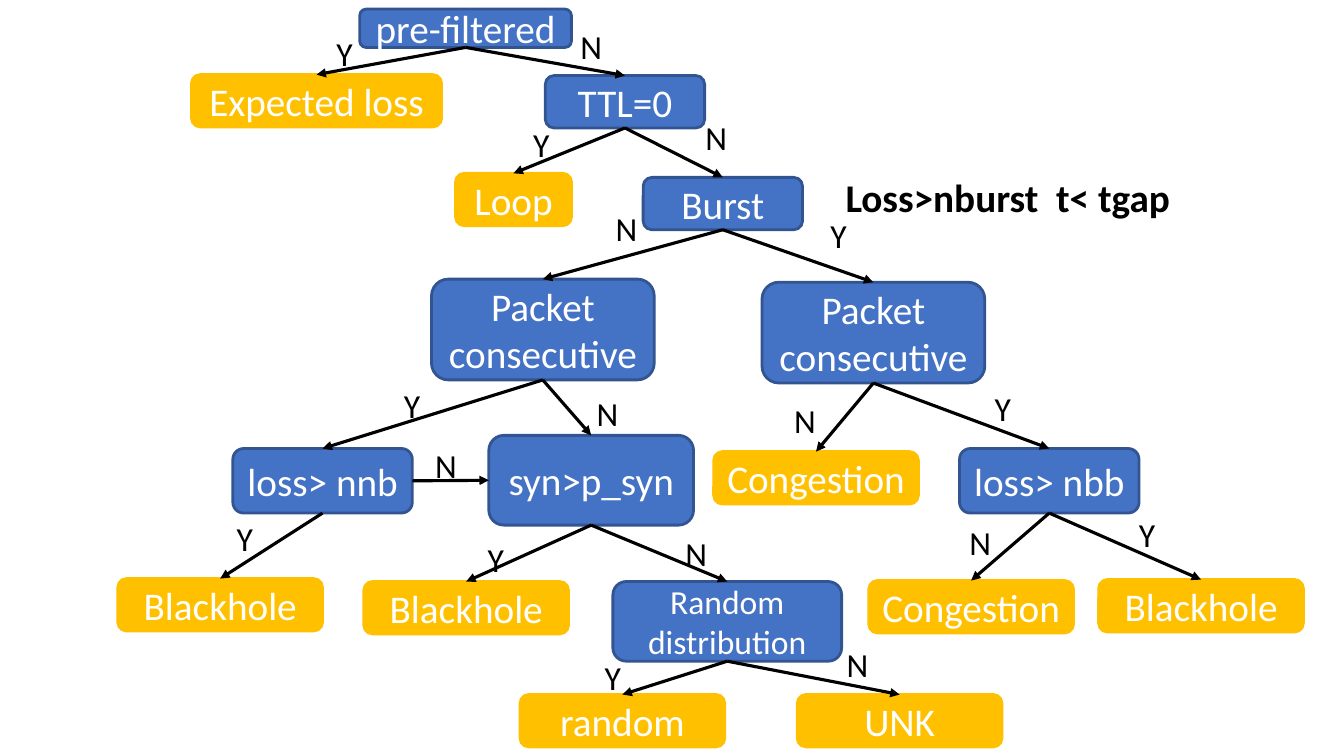
from pptx import Presentation
from pptx.dml.color import RGBColor
from pptx.enum.shapes import MSO_CONNECTOR, MSO_SHAPE
from pptx.enum.text import MSO_ANCHOR, MSO_AUTO_SIZE, PP_ALIGN
from pptx.oxml.ns import qn
from pptx.util import Pt
from lxml import etree

ROUND = MSO_SHAPE.ROUNDED_RECTANGLE
LINE = MSO_CONNECTOR.STRAIGHT
MIDDLE = MSO_ANCHOR.MIDDLE
FIT = MSO_AUTO_SIZE.SHAPE_TO_FIT_TEXT
CENTER, LEFT = PP_ALIGN.CENTER, PP_ALIGN.LEFT
BLUE = RGBColor(0x44, 0x72, 0xC4)
NAVY = RGBColor(0x32, 0x54, 0x91)
GOLD = RGBColor(0xFF, 0xC0, 0x00)
WHITE = RGBColor(0xFF, 0xFF, 0xFF)
BLACK = RGBColor(0x00, 0x00, 0x00)
TOP, WEST, BASE, EAST = range(4)
WIDE, LOW = 146.2, 37.4

TESTS = {
    "pre": ("pre-filtered", 257, 6.5, 151.2, 27.4),
    "ttl": ("TTL=0", 389.5, 54, 113.8, LOW),
    "burst": ("Burst", 459.4, 126.7, 113.8, LOW),
    "pack1": ("Packet\nconsecutive", 308.2, 199.4, 159.1, 72),
    "pack2": ("Packet\nconsecutive", 544.3, 201.6, 159.1, 72),
    "nnb": ("loss> nnb", 166.3, 320.4, 128.2, 46.1),
    "syn": ("syn>p_syn", 349.2, 311, WIDE, 64.1),
    "nbb": ("loss> nbb", 685.4, 320.4, 128.2, 46.1),
    "dist": ("Random distribution", 437.8, 415.4, 163.4, 56.9),
}
ENDS = {
    "expect": ("Expected loss", 136.8, 53.3, 178.6),
    "loop": ("Loop", 325.4, 123.8, 82.8),
    "cong1": ("Congestion", 509.8, 322.6, WIDE),
    "hole1": ("Blackhole", 84.2, 413.3, WIDE),
    "hole2": ("Blackhole", 259.9, 415.4, WIDE),
    "cong2": ("Congestion", 620.6, 414.7, WIDE),
    "hole3": ("Blackhole", 784.8, 414, WIDE),
    "random": ("random", 371.5, 496.1, WIDE),
    "unk": ("UNK", 569.5, 496.1, WIDE),
}
EDGES = [
    ("pre", "expect", "Y", 233.3, 20.2),
    ("pre", "ttl", "N", 407.5, 15.1),
    ("ttl", "loop", "Y", 373.7, 85),
    ("ttl", "burst", "N", 496.8, 79.9),
    ("burst", "pack1", "N", 432.7, 144.7),
    ("burst", "pack2", "Y", 586.1, 149.8),
    ("pack1", "nnb", "Y", 281.5, 271.4),
    ("pack1", "syn", "N", 419, 277.2),
    ("pack2", "cong1", "N", 560.2, 282.2),
    ("pack2", "nbb", "Y", 703.4, 273.6),
    ("nnb", "hole1", "Y", 162, 366.5),
    ("nnb", "syn", "N", 303.8, 314.6),
    ("syn", "hole2", "Y", 341.3, 381.6),
    ("syn", "dist", "N", 482.4, 377.3),
    ("nbb", "cong2", "N", 685.4, 369.4),
    ("nbb", "hole3", "Y", 806.4, 363.6),
    ("dist", "random", "Y", 424.8, 465.8),
    ("dist", "unk", "N", 597.6, 456.5),
]


class Tree:
    """Draws the boxes, arrows and labels of a decision tree on one slide."""

    def __init__(self, slide):
        self.slide = slide
        self.face = "Calibri"

    def letter(self, frame, text, size, color, align, bold=False):
        frame.text = text
        form = {"name": self.face, "size": Pt(size), "bold": bold}
        for para in frame.paragraphs:
            para.alignment = align
            for key, value in form.items():
                setattr(para.font, key, value)
            para.font.color.rgb = color

    def box(self, text, x, y, w, h, fill, edge, size=28):
        box = self.slide.shapes.add_shape(ROUND, Pt(x), Pt(y), Pt(w), Pt(h))
        box.shadow.inherit = False
        box.fill.solid()
        box.fill.fore_color.rgb = fill
        box.line.color.rgb = edge
        box.line.width = Pt(2)
        box.text_frame.word_wrap = True
        box.text_frame.vertical_anchor = MIDDLE
        self.letter(box.text_frame, text, size, WHITE, CENTER)
        return box

    def arrow(self, start, out, end, into):
        link = self.slide.shapes.add_connector(LINE, 0, 0, 0, 0)
        link.begin_connect(start, out)
        link.end_connect(end, into)
        link.line.color.rgb = BLACK
        link.line.width = Pt(2.25)
        props = link._element.spPr
        etree.SubElement(props.find(qn("a:ln")), qn("a:tailEnd"), type="triangle")
        etree.SubElement(props, qn("a:effectLst"))

    def label(self, text, x, y, w, h=36, size=24, bold=False, wrap=False):
        note = self.slide.shapes.add_textbox(Pt(x), Pt(y), Pt(w), Pt(h))
        note.text_frame.word_wrap = wrap
        note.text_frame.auto_size = FIT
        self.letter(note.text_frame, text, size, BLACK, LEFT, bold)


def main():
    deck = Presentation()
    deck.slide_width, deck.slide_height = Pt(960), Pt(540)
    tree = Tree(deck.slides.add_slide(deck.slide_layouts[6]))
    nodes = {}
    for key, spot in TESTS.items():
        nodes[key] = tree.box(*spot, BLUE, NAVY, 24 if key == "dist" else 28)
    for key, spot in ENDS.items():
        nodes[key] = tree.box(*spot, LOW, GOLD, GOLD)
    for start, end, mark, x, y in EDGES:
        out, into = (EAST, WEST) if (start, end) == ("nnb", "syn") else (BASE, TOP)
        tree.arrow(nodes[start], out, nodes[end], into)
        tree.label(mark, x, y, 30.2 if mark == "N" else 26.6)
    tree.label("Loss>nburst  t< tgap", 596.9, 120.2, 266.4, 41, 28, True, True)
    deck.save("out.pptx")


if __name__ == "__main__":
    main()
